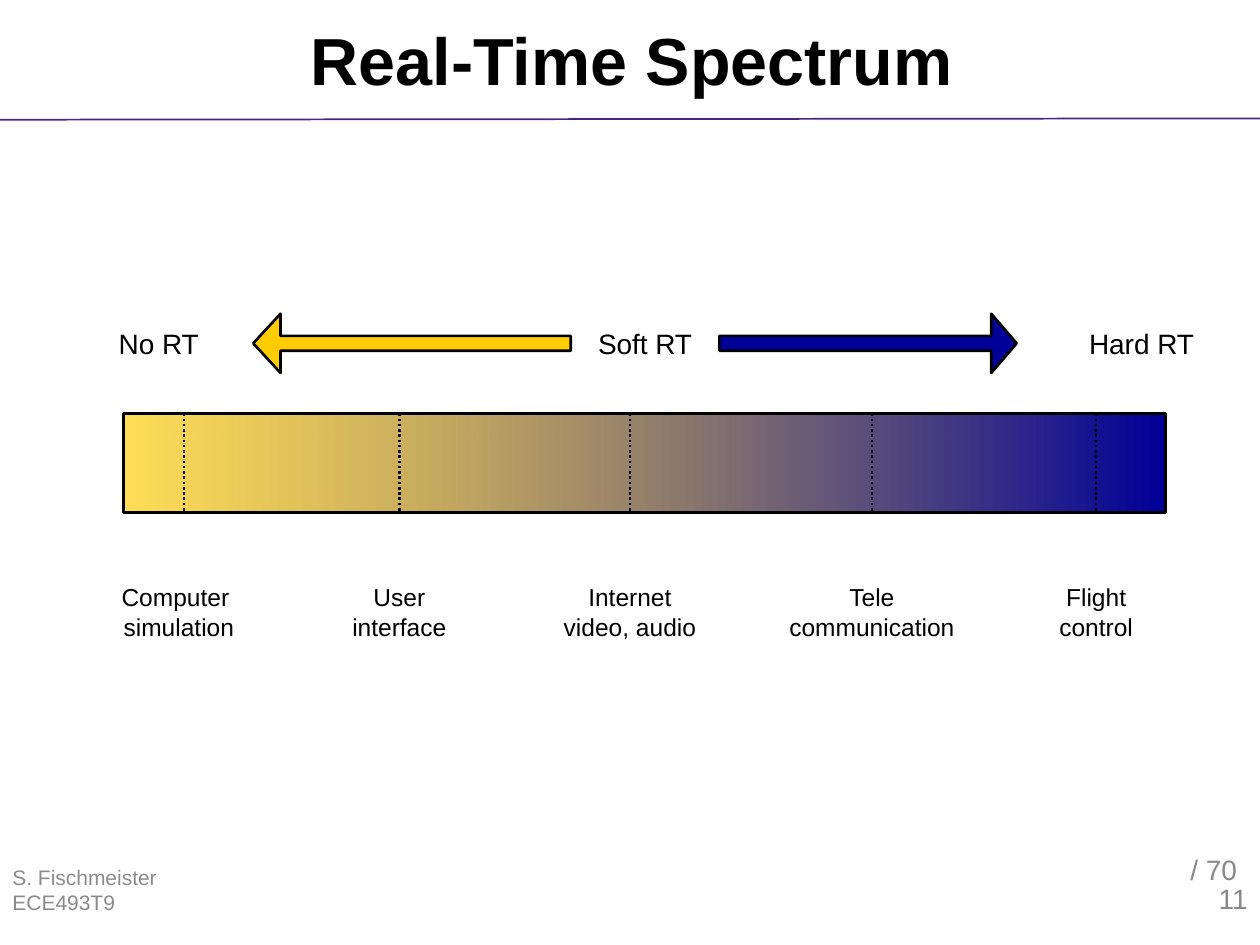
from dataclasses import dataclass

from lxml.etree import SubElement
from pptx import Presentation
from pptx.dml.color import RGBColor
from pptx.enum.dml import MSO_LINE
from pptx.enum.shapes import MSO_CONNECTOR, MSO_SHAPE
from pptx.enum.text import MSO_ANCHOR as Anchor, PP_ALIGN as Align
from pptx.oxml.ns import qn
from pptx.util import Inches, Pt

BLACK = RGBColor(0x00, 0x00, 0x00)
GRAY = RGBColor(0x89, 0x89, 0x89)
LIGHT_GRAY = RGBColor(0x8C, 0x8C, 0x8C)
PURPLE = RGBColor(0x4A, 0x23, 0x84)
YELLOW = RGBColor(0xFF, 0xCC, 0x00)
NAVY = RGBColor(0x00, 0x00, 0x99)

FONT = "Arial"
LABEL_WIDTH, LABEL_HEIGHT = 1.34, 0.79
LEVEL_TOP, EXAMPLE_TOP = 2.33, 4.46
BAR_TOP, BAR_HEIGHT = 3.28, 0.79


@dataclass(frozen=True)
class TextBox:
    text: str
    left: float
    top: float
    width: float
    height: float
    size: int
    color: RGBColor = BLACK
    anchor: Anchor = Anchor.MIDDLE
    align: Align = Align.CENTER
    bold: bool = False
    wrap: bool = True
    side_margin: float = 0.1


@dataclass(frozen=True)
class Arrow:
    left: float
    width: float
    head: float
    color: RGBColor
    rotation: int = 0


@dataclass(frozen=True)
class Example:
    text: str
    center: float
    marker: float


TEXT_BOXES = [
    TextBox("/ 70", 9.35, 6.68, 1.06, 0.4, 16, GRAY, Anchor.BOTTOM, Align.LEFT),
    TextBox("Real-Time Spectrum", 0.33, 0, 9.37, 0.94, 38, bold=True),
    TextBox("ECE493T9", 0, 6.81, 2.08, 0.5, 12, GRAY, Anchor.BOTTOM, Align.LEFT),
    TextBox("S. Fischmeister", 0, 6.81, 3.17, 0.5, 12, LIGHT_GRAY, Anchor.TOP, Align.LEFT),
    TextBox("11", 7.92, 6.81, 2.08, 0.5, 16, GRAY, Anchor.BOTTOM, Align.RIGHT),
]
LEVELS = [("No RT", 1.26), ("Soft RT", 5.12), ("Hard RT", 9.06)]
ARROWS = [Arrow(5.71, 2.36, 0.43, NAVY), Arrow(2.01, 2.52, 0.46, YELLOW, 180)]
EXAMPLES = [
    Example("Computer \nsimulation", 1.42, 1.46),
    Example("User\ninterface", 3.17, 3.17),
    Example("Internet\nvideo, audio", 5, 5),
    Example("Tele\ncommunication", 6.92, 6.92),
    Example("Flight\ncontrol", 8.7, 8.7),
]


def add_text(slide, box: TextBox) -> None:
    shape = slide.shapes.add_textbox(
        Inches(box.left), Inches(box.top), Inches(box.width), Inches(box.height)
    )
    frame = shape.text_frame
    frame.word_wrap = box.wrap
    frame.vertical_anchor = box.anchor
    frame.margin_left = frame.margin_right = Inches(box.side_margin)
    paragraph = frame.paragraphs[0]
    paragraph.alignment = box.align
    for index, line in enumerate(box.text.split("\n")):
        if index:
            paragraph.add_line_break()
        run = paragraph.add_run()
        run.text = line
        run.font.name = FONT
        run.font.size = Pt(box.size)
        run.font.bold = box.bold
        run.font.color.rgb = box.color


def add_label(slide, text: str, center: float, top: float, size: int) -> None:
    left = center - LABEL_WIDTH / 2
    add_text(slide, TextBox(
        text, left, top, LABEL_WIDTH, LABEL_HEIGHT, size, wrap=False, side_margin=0
    ))


def add_outlined(slide, kind: MSO_SHAPE, left: float, top: float, width: float, height: float):
    shape = slide.shapes.add_shape(
        kind, Inches(left), Inches(top), Inches(width), Inches(height)
    )
    shape.shadow.inherit = False
    shape.line.color.rgb = BLACK
    shape.line.width = Pt(1.5)
    return shape


def add_spectrum_bar(slide) -> None:
    bar = add_outlined(slide, MSO_SHAPE.RECTANGLE, 0.98, BAR_TOP, 8.27, BAR_HEIGHT)
    bar.fill.gradient()
    bar.fill.gradient_angle = 0
    for stop, color, position in zip(bar.fill.gradient_stops, (YELLOW, NAVY), (0, 1)):
        stop.color.rgb = color
        stop.position = position
    first_color = next(bar._element.spPr.iter(qn("a:srgbClr")))
    SubElement(first_color, qn("a:alpha"), val="66000")


def add_arrow(slide, arrow: Arrow) -> None:
    shape = add_outlined(slide, MSO_SHAPE.RIGHT_ARROW, arrow.left, 2.49, arrow.width, 0.47)
    shape.adjustments[0] = 0.25
    shape.adjustments[1] = arrow.head
    shape.rotation = arrow.rotation
    shape.fill.solid()
    shape.fill.fore_color.rgb = arrow.color


def add_line(slide, start: tuple[float, float], end: tuple[float, float],
             color: RGBColor, width: float):
    line = slide.shapes.add_connector(
        MSO_CONNECTOR.STRAIGHT, *(Inches(value) for value in (*start, *end))
    )
    line.line.color.rgb = color
    line.line.width = Pt(width)
    SubElement(line._element.spPr, qn("a:effectLst"))
    return line


def main() -> None:
    presentation = Presentation()
    presentation.slide_width = Inches(10)
    presentation.slide_height = Inches(7.5)
    slide = presentation.slides.add_slide(presentation.slide_layouts[6])

    add_line(slide, (0, 0.95), (10, 0.94), PURPLE, 1)
    for box in TEXT_BOXES:
        add_text(slide, box)
    add_spectrum_bar(slide)
    for arrow in ARROWS:
        add_arrow(slide, arrow)
    for text, center in LEVELS:
        add_label(slide, text, center, LEVEL_TOP, 16)
    for example in EXAMPLES:
        add_label(slide, example.text, example.center, EXAMPLE_TOP, 14)
        marker = add_line(
            slide, (example.marker, BAR_TOP), (example.marker, BAR_TOP + BAR_HEIGHT), BLACK, 1.5
        )
        marker.line.dash_style = MSO_LINE.ROUND_DOT

    presentation.save("out.pptx")


if __name__ == "__main__":
    main()
